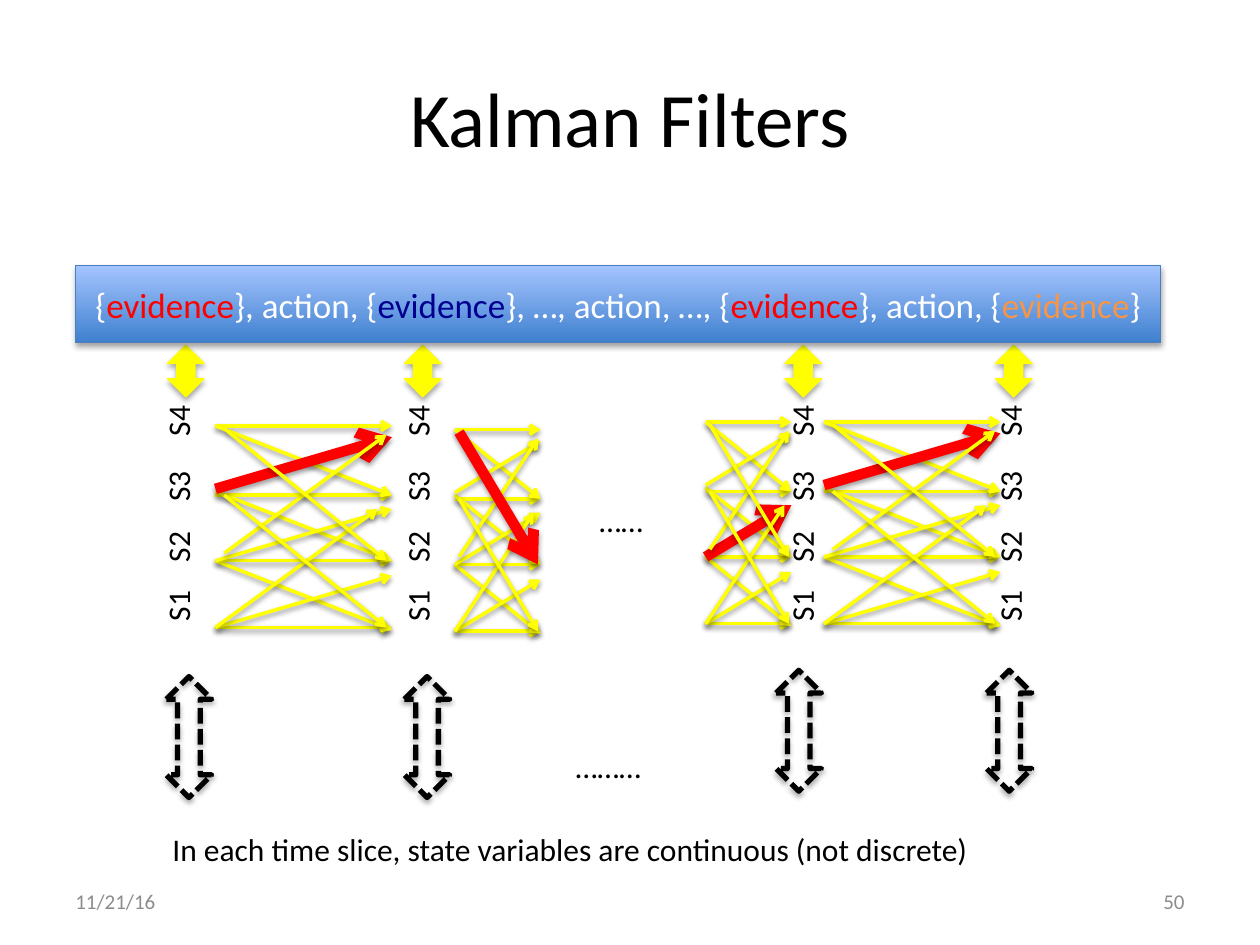
import dataclasses
import typing

import pptx
import pptx.dml.color
import pptx.enum.dml
import pptx.enum.shapes
import pptx.enum.text
import pptx.oxml
import pptx.oxml.ns
import pptx.util

Inches = pptx.util.Inches
Pt = pptx.util.Pt
ALIGN = pptx.enum.text.PP_ALIGN
ANCHOR = pptx.enum.text.MSO_ANCHOR
SHAPE = pptx.enum.shapes.MSO_SHAPE


@dataclasses.dataclass(frozen=True)
class Theme:
    font: str = "Calibri"
    black: str = "000000"
    white: str = "FFFFFF"
    gray: str = "8C8C8C"
    yellow: str = "FFFF00"
    red: str = "FF0000"
    navy: str = "000090"
    orange: str = "F79646"
    edge: str = "4B7EBC"
    dark: str = "3F80CE"
    light: str = "A4C4FF"
    title: int = 44
    bar: int = 20
    text: int = 18
    foot: int = 12


THEME = Theme()


class Box(typing.NamedTuple):
    left: float
    top: float
    width: float
    height: float

    def place(self) -> list:
        return [Inches(side) for side in self]


class Label(typing.NamedTuple):
    text: str
    box: Box
    size: int = THEME.text
    color: str = THEME.black
    align: ALIGN = ALIGN.LEFT
    anchor: ANCHOR = ANCHOR.TOP


class Slice(typing.NamedTuple):
    """One time slice: left edges of its label and arrows, top of the dashed one."""
    label: float
    solid: float
    dashed: float
    top: float


class Mesh(typing.NamedTuple):
    """A bundle of transitions; red is the index of the bold link."""
    left: float
    top: float
    width: float
    red: int


class Link(typing.NamedTuple):
    """Ends of a transition: x as a share of the mesh width, y in inches."""
    x1: float
    y1: float
    x2: float
    y2: float


LABELS = [
    Label("11/21/16", Box(0.5, 6.95, 2.33, 0.4), THEME.foot, THEME.gray,
          anchor=ANCHOR.MIDDLE),
    Label("50", Box(7.17, 6.95, 2.33, 0.4), THEME.foot, THEME.gray,
          ALIGN.RIGHT, ANCHOR.MIDDLE),
    Label("……", Box(4.66, 3.93, 0.57, 0.4)),
    Label("………", Box(4.47, 5.88, 0.74, 0.4)),
    Label("In each time slice, state variables are continuous (not discrete)",
          Box(1.27, 6.54, 6.6, 0.4)),
]
SLICES = [
    Slice(1.21, 1.33, 1.32, 5.37),
    Slice(3.11, 3.21, 3.21, 5.37),
    Slice(6.16, 6.23, 6.16, 5.32),
    Slice(7.81, 7.9, 7.83, 5.32),
]
MESHES = [
    Mesh(1.71, 3.38, 1.4, 9),
    Mesh(6.54, 3.35, 1.4, 9),
    Mesh(3.61, 3.41, 0.68, 13),
    Mesh(5.6, 3.35, 0.68, 8),
]
LINKS = [Link(0, y, 1, y) for y in (0.55, 1.07, 1.6, 0)]
LINKS += [Link(0, y, 1, y + 0.55) for y in (0, 0.52, 1.07)]
LINKS += [Link(0, y, 1, y - 0.41) for y in (1.6, 1.07, 0.5)]
LINKS += [
    Link(0, 1.6, 0.92, 0.66),
    Link(0.05, 1.01, 0.97, 0.07),
    Link(0.05, 0.55, 0.97, 1.6),
    Link(0.05, 0.02, 0.97, 1.07),
]
STOPS = (0.47, 0.95, 1.47)
PARTS = [
    ("{", THEME.white), ("evidence", THEME.red),
    ("}, action, {", THEME.white), ("evidence", THEME.navy),
    ("}, …, action, …, {", THEME.white), ("evidence", THEME.red),
    ("}, action, {", THEME.white), ("evidence", THEME.orange),
    ("}", THEME.white),
]


def tint(code: str) -> pptx.dml.color.RGBColor:
    return pptx.dml.color.RGBColor.from_string(code)


def style(font, size: int, color: str) -> None:
    font.name = THEME.font
    font.size = Pt(size)
    font.color.rgb = tint(color)


def stroke(shape, color: str, width: float) -> None:
    shape.line.color.rgb = tint(color)
    shape.line.width = Pt(width)


def shade(shape, alpha: int) -> None:
    """Add a soft shadow below; call it after fill and line are set."""
    shape._element.spPr.append(pptx.oxml.parse_xml(
        f'<a:effectLst {pptx.oxml.ns.nsdecls("a")}>'
        '<a:outerShdw blurRad="40000" dist="22000" dir="5400000" rotWithShape="0">'
        f'<a:srgbClr val="000000"><a:alpha val="{alpha * 1000}"/></a:srgbClr>'
        '</a:outerShdw></a:effectLst>'))


def add_label(slide, label: Label) -> None:
    frame = slide.shapes.add_textbox(*label.box.place()).text_frame
    frame.text = label.text
    frame.vertical_anchor = label.anchor
    frame.word_wrap = label.align == ALIGN.RIGHT
    line = frame.paragraphs[0]
    line.alignment = label.align
    style(line.runs[0].font, label.size, label.color)


def add_states(slide, left: float) -> None:
    """Write the state names upward, spaced by tab stops."""
    frame = slide.shapes.add_textbox(*Box(left, 3.05, 0.5, 1.98).place()).text_frame
    frame.text = "S1\tS2\tS3\tS4"
    frame.word_wrap = True
    frame.margin_left = frame.margin_right = Inches(0.05)
    frame.margin_top = frame.margin_bottom = Inches(0.05)
    frame._txBody.bodyPr.set("vert", "vert270")
    line = frame.paragraphs[0]
    tabs = "".join(f'<a:tab pos="{Inches(stop)}" algn="l"/>' for stop in STOPS)
    line._p.get_or_add_pPr().append(pptx.oxml.parse_xml(
        f'<a:tabLst {pptx.oxml.ns.nsdecls("a")}>{tabs}</a:tabLst>'))
    style(line.runs[0].font, THEME.text, THEME.black)


def add_mesh(slide, mesh: Mesh) -> None:
    group = slide.shapes.add_group_shape()
    for index, link in enumerate(LINKS):
        line = group.shapes.add_connector(
            pptx.enum.shapes.MSO_CONNECTOR.STRAIGHT,
            Inches(mesh.left + link.x1 * mesh.width), Inches(mesh.top + link.y1),
            Inches(mesh.left + link.x2 * mesh.width), Inches(mesh.top + link.y2))
        bold = index == mesh.red
        stroke(line, THEME.red if bold else THEME.yellow, 6 if bold else 2)
        line.line._get_or_add_ln().append(pptx.oxml.parse_xml(
            f'<a:tailEnd {pptx.oxml.ns.nsdecls("a")} type="arrow"/>'))
        shade(line, 38)


def add_arrow(slide, box: Box, dashed: bool) -> None:
    arrow = slide.shapes.add_shape(SHAPE.UP_DOWN_ARROW, *box.place())
    if dashed:
        arrow.fill.background()
        stroke(arrow, THEME.black, 3)
        arrow.line.dash_style = pptx.enum.dml.MSO_LINE.SQUARE_DOT
    else:
        arrow.fill.solid()
        arrow.fill.fore_color.rgb = tint(THEME.yellow)
        stroke(arrow, THEME.yellow, 0.75)
    shade(arrow, 35)


def add_bar(slide) -> None:
    bar = slide.shapes.add_shape(SHAPE.RECTANGLE, *Box(0.6, 2.11, 8.61, 0.61).place())
    bar.fill.gradient()
    bar.fill.gradient_angle = 90
    for stop, color, spot in zip(bar.fill.gradient_stops, (THEME.dark, THEME.light), (0, 1)):
        stop.color.rgb = tint(color)
        stop.position = spot
    stroke(bar, THEME.edge, 0.75)
    shade(bar, 35)
    bar.text_frame.vertical_anchor = ANCHOR.MIDDLE
    line = bar.text_frame.paragraphs[0]
    line.alignment = ALIGN.CENTER
    for text, color in PARTS:
        run = line.add_run()
        run.text = text
        style(run.font, THEME.bar, color)


def main() -> None:
    deck = pptx.Presentation()
    deck.slide_width, deck.slide_height = Inches(10), Inches(7.5)
    slide = deck.slides.add_slide(deck.slide_layouts.get_by_name("Title Only"))
    title = slide.shapes.title
    title.left, title.top, title.width, title.height = Box(0.5, 0.3, 9, 1.25).place()
    title.text_frame.text = "Kalman Filters"
    style(title.text_frame.paragraphs[0].runs[0].font, THEME.title, THEME.black)
    for label in LABELS:
        add_label(slide, label)
    for part in SLICES:
        add_states(slide, part.label)
    for mesh in MESHES:
        add_mesh(slide, mesh)
    for part in SLICES:
        add_arrow(slide, Box(part.solid, 2.74, 0.29, 0.41), dashed=False)
        add_arrow(slide, Box(part.dashed, part.top, 0.36, 0.96), dashed=True)
    add_bar(slide)
    deck.save("out.pptx")


if __name__ == "__main__":
    main()
